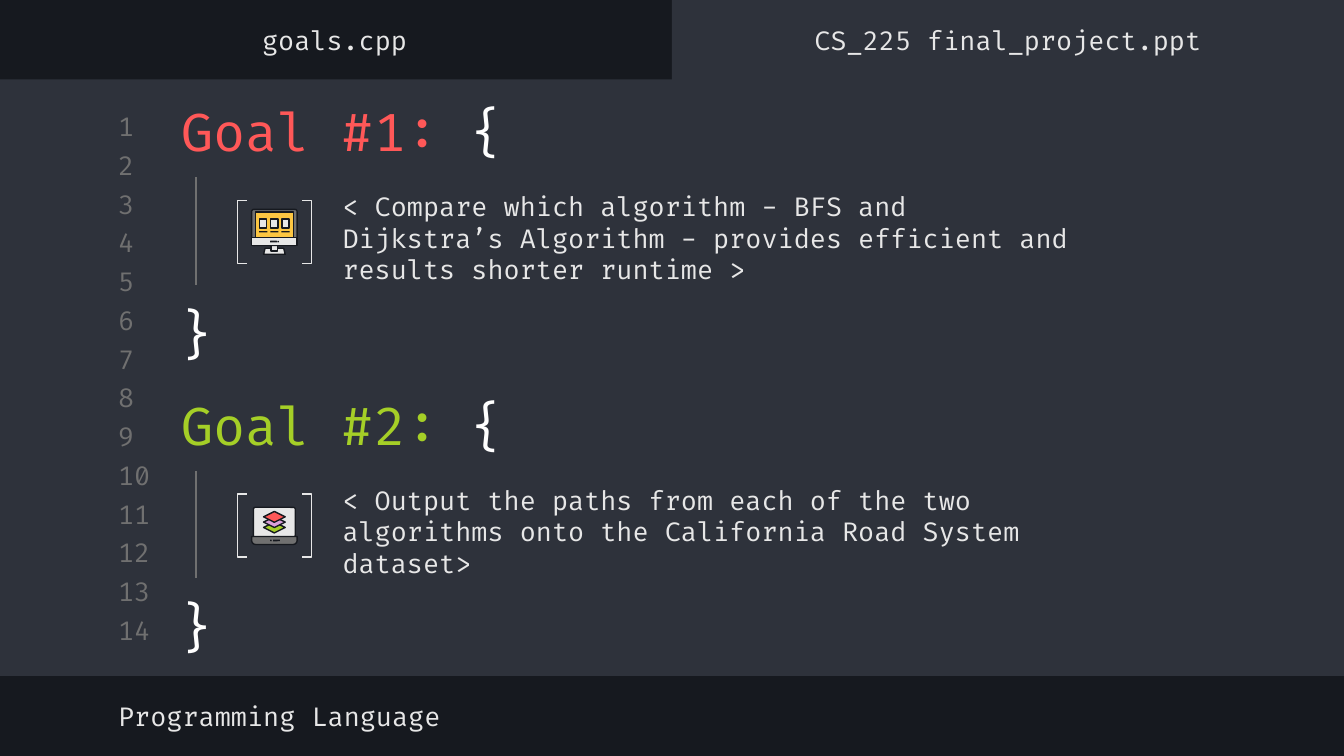
from lxml.etree import SubElement
from pptx import Presentation
from pptx.dml.color import RGBColor
from pptx.enum.shapes import MSO_CONNECTOR as Connector, MSO_SHAPE as Shape
from pptx.enum.text import MSO_ANCHOR as Anchor, PP_ALIGN as Align
from pptx.oxml.ns import qn
from pptx.util import Pt

INK = RGBColor(0x16, 0x19, 0x1F)
PANEL = RGBColor(0x2E, 0x32, 0x3B)
GREY = RGBColor(0x70, 0x70, 0x70)
LIGHT = RGBColor(0xE7, 0xE7, 0xE7)
WHITE = RGBColor(0xFF, 0xFF, 0xFF)
RED = RGBColor(0xFF, 0x58, 0x58)
GREEN = RGBColor(0xA5, 0xCF, 0x27)
YELLOW = RGBColor(0xFC, 0xC6, 0x42)
PINK = RGBColor(0xDB, 0xA0, 0xDB)

FONT = "Fira Code"
LINE_COUNT = 14
LINE_STEP = 20.75
GOAL_STEP = 157.3
ICON_CENTER = 147


def add_text(page, left, top, width, height, spans, size=14,
             align=Align.LEFT, anchor=Anchor.MIDDLE):
    """Add a one-paragraph box; spans is a list of (text, colour)."""
    box = page.shapes.add_textbox(Pt(left), Pt(top), Pt(width), Pt(height))
    frame = box.text_frame
    frame_format = {"word_wrap": True, "vertical_anchor": anchor}
    for side in ("left", "right", "top", "bottom"):
        frame_format["margin_" + side] = Pt(7.2)
    for name, value in frame_format.items():
        setattr(frame, name, value)
    para = frame.paragraphs[0]
    para.alignment = align
    for text, color in spans:
        span = para.add_run()
        span.text = text
        for name, value in {"name": FONT, "size": Pt(size)}.items():
            setattr(span.font, name, value)
        span.font.color.rgb = color


def add_figure(shapes, kind, left, top, width, height, fill=None, line=None):
    figure = shapes.add_shape(kind, Pt(left), Pt(top), Pt(width), Pt(height))
    figure.shadow.inherit = False
    if fill is None:
        figure.fill.background()
    else:
        figure.fill.solid()
        figure.fill.fore_color.rgb = fill
    if line is None:
        figure.line.fill.background()
    else:
        figure.line.color.rgb = line
        figure.line.width = Pt(0.75)
    return figure


def add_guide(page, x, top, bottom):
    guide = page.shapes.add_connector(
        Connector.STRAIGHT, Pt(x), Pt(top), Pt(x), Pt(bottom))
    guide.line.color.rgb = GREY
    guide.line.width = Pt(0.75)
    SubElement(guide._element.spPr, qn("a:effectLst"))


def add_brackets(page, top):
    for left, turn in ((127.4, 0), (162, 180)):
        bracket = add_figure(page.shapes, Shape.LEFT_BRACKET,
                             left, top, 5, 33.8, line=LIGHT)
        bracket.adjustments[0] = 0
        bracket.rotation = turn


def add_controls(shapes, top, dash_left, dot_left):
    """Add the dash and the dot below a screen."""
    add_figure(shapes, Shape.ROUNDED_RECTANGLE, dash_left, top, 3.6, 0.9, INK)
    add_figure(shapes, Shape.OVAL, dot_left, top, 0.9, 0.9, INK)


def add_monitor(page, top):
    shapes = page.shapes.add_group_shape().shapes
    parts = (
        (Shape.TRAPEZOID, 11.6, 20.8, 3.2, LIGHT),
        (Shape.RECTANGLE, 3.6, 19.4, 2.8, LIGHT),
        (Shape.ROUNDED_RECTANGLE, 24.4, 0, 19.4, GREY),
        (Shape.RECTANGLE, 20.2, 1.5, 13.6, YELLOW),
        (Shape.RECTANGLE, 24.4, 15.1, 4.3, LIGHT),
    )
    for kind, width, offset, height, fill in parts:
        part = add_figure(shapes, kind, ICON_CENTER - width / 2, top + offset,
                          width, height, fill, INK)
        if kind == Shape.ROUNDED_RECTANGLE:
            part.adjustments[0] = 0.06
    for shift in (-6, 0, 6):
        left = ICON_CENTER + shift - 1.9
        add_figure(shapes, Shape.RECTANGLE, left, top + 5.1, 3.8, 4.9,
                   LIGHT, INK)
        add_figure(shapes, Shape.RECTANGLE, left - 0.3, top + 11.6, 4.4, 0.8,
                   INK)
    add_controls(shapes, top + 16.8, 144.7, 148.6)


def add_laptop(page, top):
    shapes = page.shapes.add_group_shape().shapes
    screen = add_figure(shapes, Shape.ROUNDED_RECTANGLE, ICON_CENTER - 11.2,
                        top, 22.4, 16, LIGHT, INK)
    screen.adjustments[0] = 0.06
    for offset, fill in ((7.9, GREEN), (5, PINK), (2.2, RED)):
        add_figure(shapes, Shape.DIAMOND, ICON_CENTER - 5.8, top + offset,
                   11.6, 5.8, fill, INK)
    base = add_figure(shapes, Shape.ROUND_2_SAME_RECTANGLE, ICON_CENTER - 12.2,
                      top + 15.6, 24.4, 4.3, GREY, INK)
    base.adjustments[0] = 0.5
    base.rotation = 180
    add_controls(shapes, top + 17.3, 146.3, 144.7)


def add_goal(page, number, color, text, add_icon):
    top = 49 + (number - 1) * GOAL_STEP
    add_text(page, 90, top, 320, 41.8,
             [(f"Goal #{number}: ", color), ("{", WHITE)], size=28)
    add_guide(page, 105.1, top + 46, top + 103.6)
    add_brackets(page, top + 58.3)
    add_icon(page, top + 63.2 if number == 1 else top + 65.5)
    add_text(page, 176.4, top + 47.5, 404.6, 61.9, [(text, LIGHT)])
    add_text(page, 85.7, top + 105.1, 39.6, 48.2, [("}", WHITE)], size=28,
             align=Align.CENTER, anchor=Anchor.TOP)


def main():
    deck = Presentation()
    deck.slide_width, deck.slide_height = Pt(720), Pt(405)
    page = deck.slides.add_slide(deck.slide_layouts[6])
    page.background.fill.solid()
    page.background.fill.fore_color.rgb = INK

    add_figure(page.shapes, Shape.RECTANGLE, 0, 42.5, 720, 319.7, PANEL)
    add_figure(page.shapes, Shape.RECTANGLE, 360, 0, 360, 46.8, PANEL)
    for index in range(LINE_COUNT):
        add_text(page, 56.2, 59 + index * LINE_STEP, 33.8, 17.3,
                 [(str(index + 1), GREY)])

    for left, title in ((-0.7, "goals.cpp"), (360, "CS_225 final_project.ppt")):
        add_text(page, left, 7.2, 360, 28, [(title, LIGHT)],
                 align=Align.CENTER)
    add_goal(page, 1, RED,
             "< Compare which algorithm - BFS and Dijkstra’s Algorithm - "
             "provides efficient and results shorter runtime >", add_monitor)
    add_goal(page, 2, GREEN,
             "< Output the paths from each of the two algorithms onto the "
             "California Road System dataset>", add_laptop)
    add_text(page, 56.2, 369.4, 383, 28, [("Programming Language", LIGHT)])
    deck.save("out.pptx")


if __name__ == "__main__":
    main()
